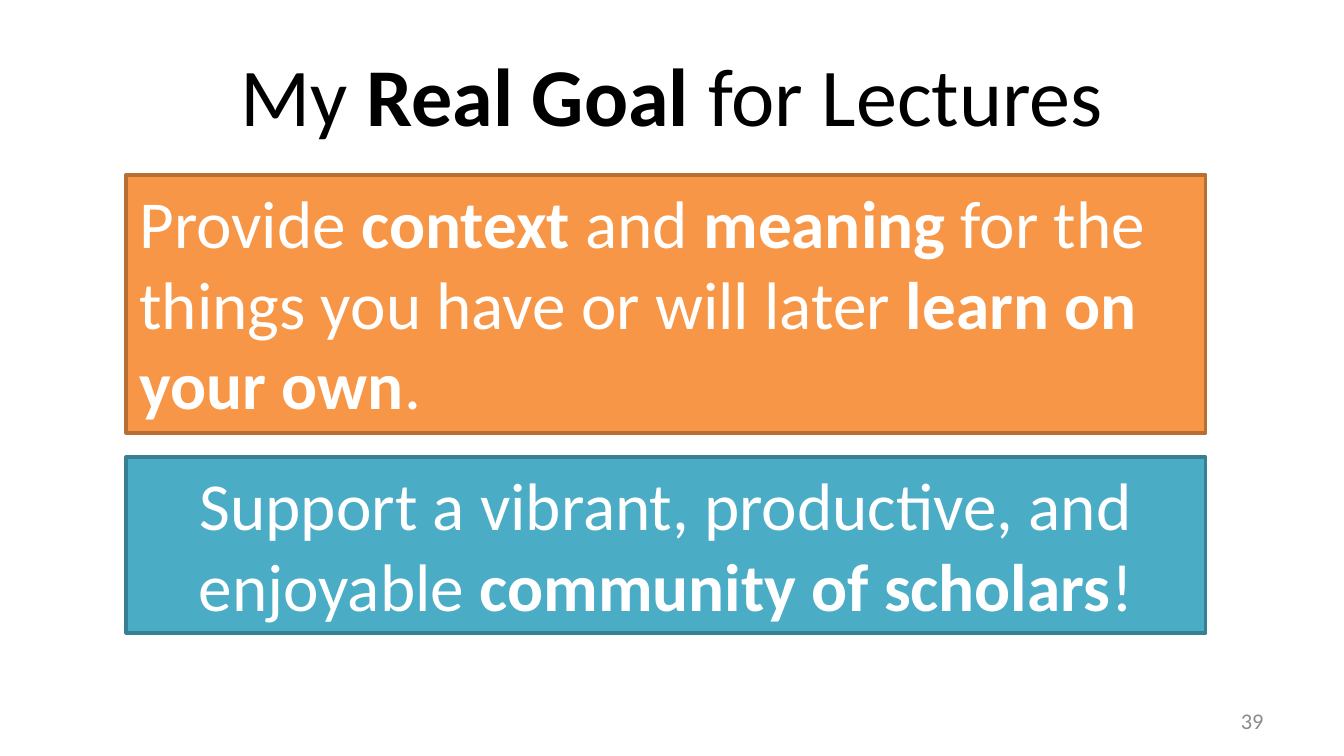
from dataclasses import dataclass
from typing import Any

from pptx import Presentation
from pptx import util as u
from pptx.dml.color import RGBColor
from pptx.enum import shapes, text

CELL = 0.1
COLUMNS, ROWS = 100, 56.25


def cells(count):
    return u.Inches(count * CELL)


def color(value):
    return RGBColor.from_string(value)


def write(box, words, size, ink, font, align="LEFT", anchor="TOP"):
    frame = box.text_frame
    frame.word_wrap = True
    frame.vertical_anchor = getattr(text.MSO_ANCHOR, anchor)
    para = frame.paragraphs[0]
    para.alignment = getattr(text.PP_ALIGN, align)
    for index, part in enumerate(words.split("**")):
        if part:
            span = para.add_run()
            span.text = part
            span.font.name = font
            span.font.size = u.Pt(size)
            span.font.bold = index % 2 == 1
            span.font.color.rgb = color(ink)


@dataclass
class Painter:
    """Draws styled elements on the current page; ** in text toggles bold."""

    page: Any
    font: str = "Calibri"
    line_width: float = 2

    def label(self, area, words, **style):
        box = self.page.shapes.add_textbox(*map(cells, area))
        write(box, words, font=self.font, anchor="MIDDLE", **style)

    def panel(self, area, words, fill, line, **style):
        box = self.page.shapes.add_shape(
            shapes.MSO_SHAPE.RECTANGLE, *map(cells, area))
        box.shadow.inherit = False
        box.fill.solid()
        box.fill.fore_color.rgb = color(fill)
        box.line.color.rgb = color(line)
        box.line.width = u.Pt(self.line_width)
        write(box, words, size=36, ink="FFFFFF", font=self.font, **style)
        box.text_frame.auto_size = text.MSO_AUTO_SIZE.SHAPE_TO_FIT_TEXT


def main():
    deck = Presentation()
    deck.slide_width, deck.slide_height = cells(COLUMNS), cells(ROWS)
    painter = Painter(deck.slides.add_slide(deck.slide_layouts[6]))

    margin = 5
    painter.label((margin, 2.3, COLUMNS - 2 * margin, 9.4),
                  "My **Real Goal** for Lectures",
                  size=44, ink="000000", align="CENTER")
    number_width = 23.3
    painter.label((COLUMNS - margin - number_width, 52.1, number_width, 3),
                  "39", size=12, ink="8C8C8C", align="RIGHT")

    left, width = 9.4, 80.3
    painter.panel((left, 13, width, 19.2),
                  "Provide **context **and **meaning** for the things you have "
                  "or will later **learn on your own**.",
                  fill="F79646", line="B76F34")
    painter.panel((left, 34, width, 13.1),
                  "Support a vibrant, productive, and enjoyable "
                  "**community of scholars**!",
                  fill="4BACC6", line="377F92", align="CENTER")
    deck.save("out.pptx")


if __name__ == "__main__":
    main()
